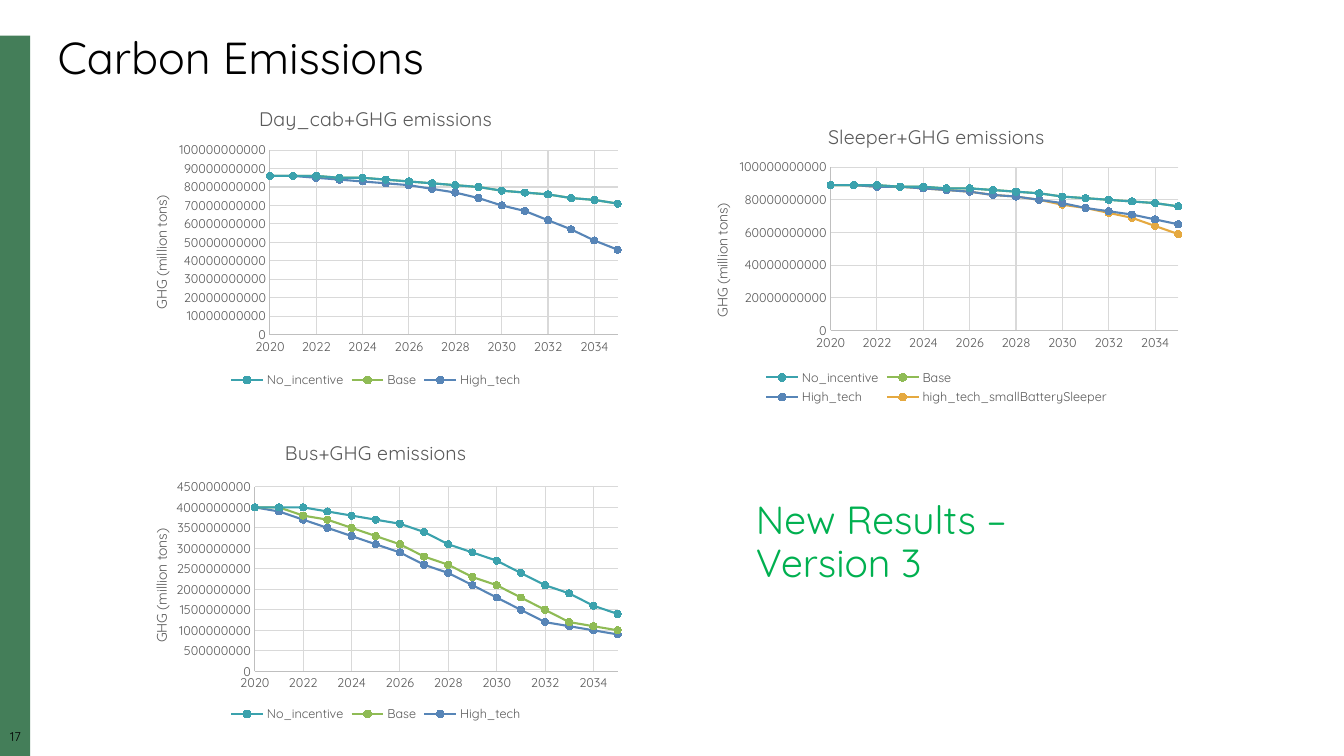
from dataclasses import dataclass
from lxml.etree import SubElement
from pptx import Presentation
from pptx.chart.data import XyChartData
from pptx.dml.color import RGBColor
from pptx.enum.chart import (XL_CHART_TYPE, XL_LEGEND_POSITION,
                             XL_MARKER_STYLE, XL_TICK_MARK)
from pptx.enum.shapes import MSO_SHAPE
from pptx.enum.text import MSO_ANCHOR, PP_ALIGN
from pptx.oxml import parse_xml
from pptx.oxml.ns import nsdecls, qn
from pptx.util import Cm, Pt


@dataclass(frozen=True)
class Theme:
    font: str = "Quicksand"
    bar: str = "447E59"
    ink: str = "000000"
    soft: str = "595959"
    axis: str = "BFBFBF"
    grid: str = "D9D9D9"
    note: str = "00B050"
    lines: tuple = ("3BA2AD", "8FBB55", "5785B7", "E5A940")
    head_pt: int = 32
    note_pt: int = 28
    name_pt: int = 14
    axis_pt: int = 10
    small_pt: int = 9


THEME = Theme()
TITLE = "Carbon Emissions"
NOTE = "New Results – Version 3"
PAGE = "17"
UNIT = "GHG (million tons)"
YEARS = range(2020, 2036)
BILLION = 10 ** 9

DAY_BASE = [86, 86, 86, 85, 85, 84, 83, 82, 81, 80, 78, 77, 76, 74, 73, 71]
SLEEP_BASE = [89, 89, 89, 88, 88, 87, 87, 86, 85, 84, 82, 81, 80, 79, 78, 76]

# at: left and top in cm; plot: x, y, w, h and label: x, y as chart fractions;
# top and step in billions, as are the series
CHARTS = [
    {"name": "Day_cab+GHG emissions", "at": (3.12, 2.26),
     "plot": (0.29, 0.2, 0.69, 0.61), "label": (0.05, 0.34),
     "top": 100, "step": 10,
     "series": {
         "No_incentive": DAY_BASE,
         "Base": DAY_BASE,
         "High_tech": [86, 86, 85, 84, 83, 82, 81, 79,
                       77, 74, 70, 67, 62, 57, 51, 46]}},
    {"name": "Sleeper+GHG emissions", "at": (17.25, 2.69),
     "plot": (0.29, 0.2, 0.69, 0.54), "label": (0.05, 0.31),
     "top": 100, "step": 20,
     "series": {
         "No_incentive": SLEEP_BASE,
         "Base": SLEEP_BASE,
         "High_tech": [89, 89, 88, 88, 87, 86, 85, 83,
                       82, 80, 78, 75, 73, 71, 68, 65],
         "high_tech_smallBatterySleeper": [89, 89, 88, 88, 87, 86, 85, 83,
                                           82, 80, 77, 75, 72, 69, 64, 59]}},
    {"name": "Bus+GHG emissions", "at": (3.12, 10.67),
     "plot": (0.26, 0.21, 0.72, 0.61), "label": (0.05, 0.34),
     "top": 4.5, "step": 0.5,
     "series": {
         "No_incentive": [4, 4, 4, 3.9, 3.8, 3.7, 3.6, 3.4,
                          3.1, 2.9, 2.7, 2.4, 2.1, 1.9, 1.6, 1.4],
         "Base": [4, 4, 3.8, 3.7, 3.5, 3.3, 3.1, 2.8,
                  2.6, 2.3, 2.1, 1.8, 1.5, 1.2, 1.1, 1],
         "High_tech": [4, 3.9, 3.7, 3.5, 3.3, 3.1, 2.9, 2.6,
                       2.4, 2.1, 1.8, 1.5, 1.2, 1.1, 1, 0.9]}},
]


def style(font, size, color):
    font.name, font.size, font.bold = THEME.font, Pt(size), False
    font.color.rgb = RGBColor.from_string(color)


def write(frame, text, size, color, align=PP_ALIGN.LEFT):
    frame.word_wrap = True
    frame.text = text
    para = frame.paragraphs[0]
    para.alignment, para.line_spacing = align, 0.9
    style(para.runs[0].font, size, color)


def stroke(line, color, width=0.75):
    line.color.rgb = RGBColor.from_string(color)
    line.width = Pt(width)


def layout(spots, inner=False):
    """Build a manual chart layout from fractions of the chart's size."""
    root = parse_xml(f"<c:layout {nsdecls('c')}><c:manualLayout/></c:layout>")
    box = root[0]
    parts = [("layoutTarget", "inner")] if inner else []
    parts += [("xMode", "edge"), ("yMode", "edge")]
    parts += zip("xywh", spots)
    for tag, val in parts:
        SubElement(box, qn(f"c:{tag}")).set("val", str(val))
    return root


def place(node, index, new):
    """Swap any layout in node for the new one, put at index."""
    for old in node.findall(qn("c:layout")):
        node.remove(old)
    node.insert(index, new)


def set_axis(axis, low, high, step):
    axis.minimum_scale, axis.maximum_scale = low, high
    axis.major_unit = step
    axis.major_tick_mark = axis.minor_tick_mark = XL_TICK_MARK.NONE
    axis.has_major_gridlines = True
    stroke(axis.major_gridlines.format.line, THEME.grid)
    stroke(axis.format.line, THEME.axis)
    style(axis.tick_labels.font, THEME.small_pt, THEME.soft)
    axis.tick_labels.number_format = "0"
    axis.tick_labels.number_format_is_linked = False


def set_title(owner, text, size):
    frame = owner.text_frame
    frame.text = text
    style(frame.paragraphs[0].runs[0].font, size, THEME.soft)


def add_plot(slide, info):
    data = XyChartData()
    for name, vals in info["series"].items():
        row = data.add_series(name)
        for year, val in zip(YEARS, vals):
            row.add_data_point(year, round(val * BILLION))
    left, top = info["at"]
    chart = slide.shapes.add_chart(
        XL_CHART_TYPE.XY_SCATTER_LINES, Cm(left), Cm(top),
        Cm(12.7), Cm(7.62), data).chart
    style(chart.font, THEME.axis_pt, THEME.ink)
    chart.has_title = True
    set_title(chart.chart_title, info["name"], THEME.name_pt)

    chart.has_legend = True
    chart.legend.position = XL_LEGEND_POSITION.BOTTOM
    chart.legend.include_in_layout = False
    style(chart.legend.font, THEME.small_pt, THEME.soft)

    set_axis(chart.category_axis, YEARS[0], YEARS[-1], 2)
    axis = chart.value_axis
    set_axis(axis, 0, info["top"] * BILLION, info["step"] * BILLION)
    axis.has_title = True
    set_title(axis.axis_title, UNIT, THEME.axis_pt)
    body = axis.axis_title.text_frame._txBody.find(qn("a:bodyPr"))
    body.set("rot", "-5400000")
    body.set("vert", "horz")
    place(axis.axis_title._element, 1, layout(info["label"]))
    area = chart._chartSpace.chart.plotArea
    place(area, 0, layout(info["plot"], inner=True))

    chart.plots[0].vary_by_categories = False
    for row, color in zip(chart.plots[0].series, THEME.lines):
        row.smooth = False
        stroke(row.format.line, color, 1.5)
        mark = row.marker
        mark.style, mark.size = XL_MARKER_STYLE.CIRCLE, 5
        mark.format.fill.solid()
        mark.format.fill.fore_color.rgb = RGBColor.from_string(color)
        stroke(mark.format.line, color)


def main():
    deck = Presentation()
    deck.slide_width, deck.slide_height = Cm(33.87), Cm(19.05)
    slide = deck.slides.add_slide(deck.slide_layouts[5])
    shapes = slide.shapes

    bar = shapes.add_shape(MSO_SHAPE.RECTANGLE, 0, Cm(0.9), Cm(0.76), Cm(18.15))
    bar.shadow.inherit = False
    bar.fill.solid()
    bar.fill.fore_color.rgb = RGBColor.from_string(THEME.bar)
    bar.line.fill.background()

    page = shapes.add_textbox(0, Cm(18.42), Cm(0.78), Cm(0.44)).text_frame
    page.margin_left = page.margin_right = 0
    page.margin_top = page.margin_bottom = 0
    write(page, PAGE, THEME.small_pt, THEME.ink, PP_ALIGN.CENTER)

    head = shapes.title
    head.left, head.top = Cm(1.2), Cm(0.76)
    head.width, head.height = Cm(31.75), Cm(1.5)
    head.text_frame.vertical_anchor = MSO_ANCHOR.MIDDLE
    write(head.text_frame, TITLE, THEME.head_pt, THEME.ink)

    for info in CHARTS:
        add_plot(slide, info)

    note = shapes.add_textbox(Cm(18.8), Cm(12.5), Cm(10.31), Cm(2.41))
    write(note.text_frame, NOTE, THEME.note_pt, THEME.note)
    deck.save("out.pptx")


if __name__ == "__main__":
    main()
